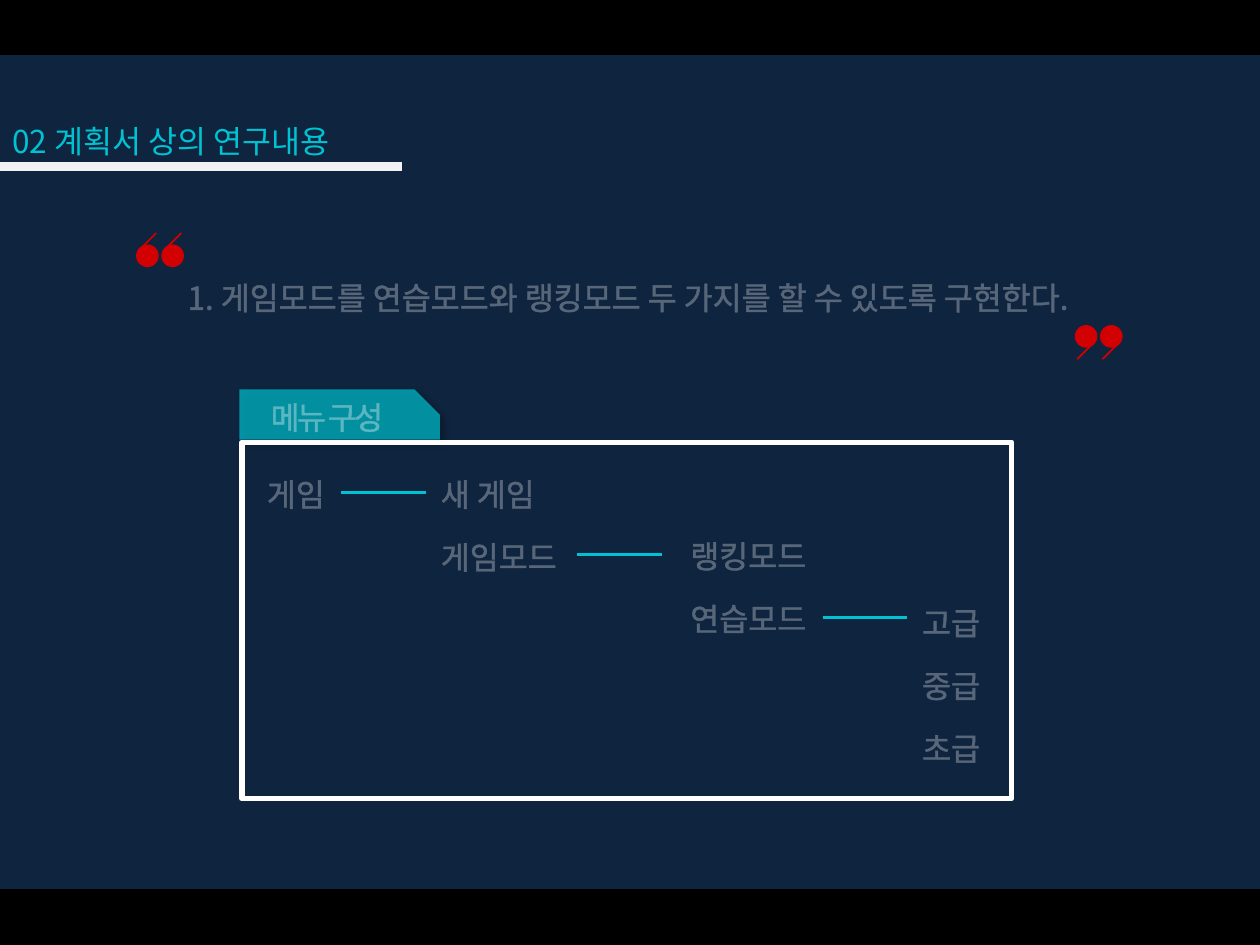
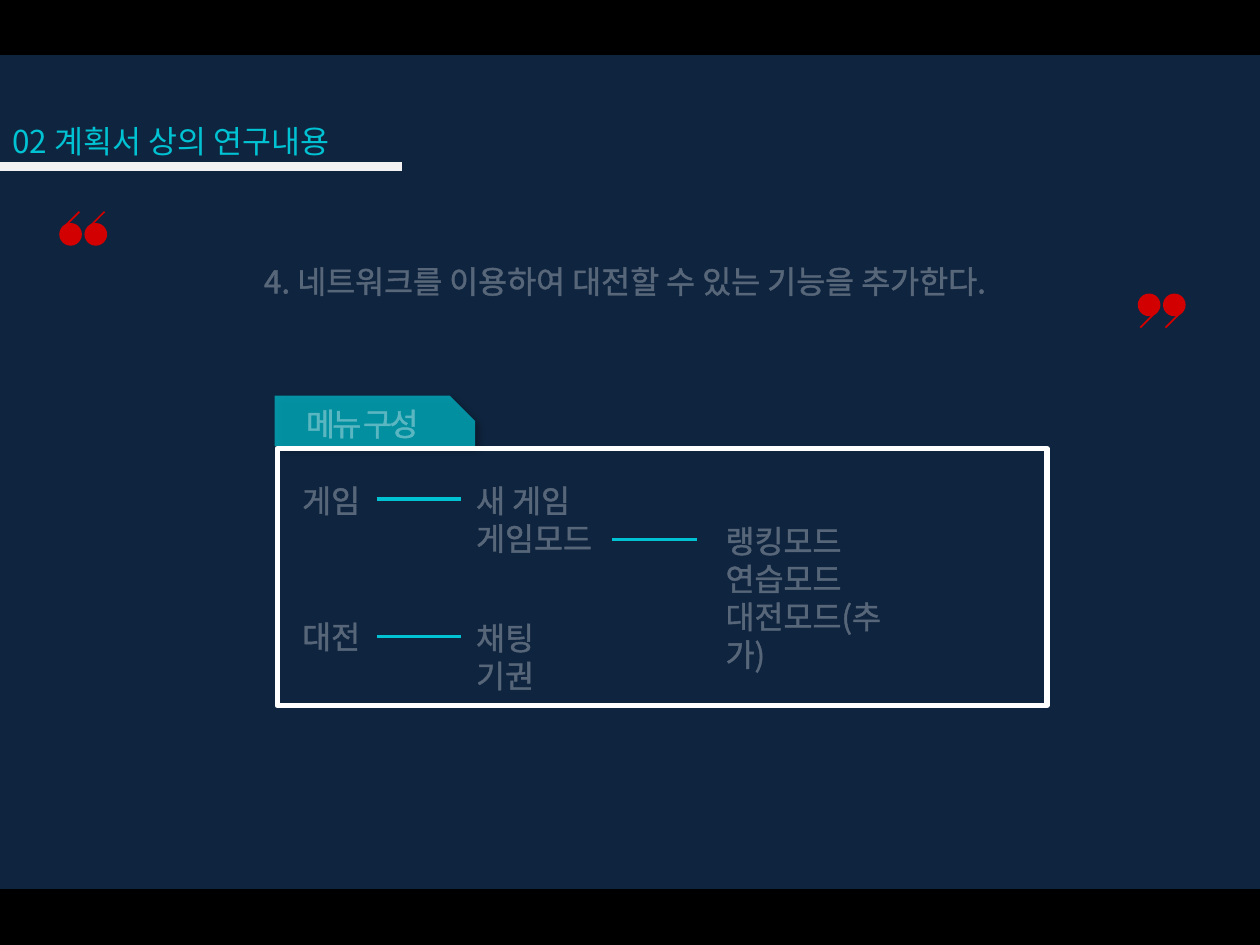
import dataclasses

import lxml.etree
import pptx
import pptx.dml.color
import pptx.enum.shapes
import pptx.enum.text
import pptx.oxml
import pptx.oxml.ns
import pptx.util

Inches = pptx.util.Inches
Pt = pptx.util.Pt
SHAPE = pptx.enum.shapes.MSO_SHAPE
ALIGN = pptx.enum.text.PP_ALIGN
qn = pptx.oxml.ns.qn


@dataclasses.dataclass(frozen=True)
class Theme:
    """Colours, font and sizes shared by the slides."""
    background: str = "0F243E"
    band: str = "000000"
    accent: str = "00C2D2"
    rule: str = "F2F2F2"
    text: str = "FFFFFF"
    quote: str = "D20000"
    font: str = "Noto Sans CJK KR"
    size: float = 18
    outline: float = 0.75
    loose_gap: float = 14.3


THEME = Theme()
COLUMNS = (0.1, 1.48, 3.46, 5.3)
LINKS = (0.79, 2.66, 4.61)
LINK_LENGTH = 0.67


def rgb(color):
    """Turn a hex string into a colour."""
    return pptx.dml.color.RGBColor.from_string(color)


def xml(tag, **attrs):
    """Make a DrawingML element."""
    el = pptx.oxml.parse_xml(f'<a:{tag} xmlns:a="{pptx.oxml.ns.nsuri("a")}"/>')
    for name, value in attrs.items():
        el.set(name, str(value))
    return el


def solid(tag, color, alpha, **attrs):
    """Make an element holding a translucent solid fill."""
    el = xml(tag, **attrs)
    clr = xml("srgbClr", val=color)
    clr.append(xml("alpha", val=alpha * 1000))
    fill = xml("solidFill")
    fill.append(clr)
    el.append(fill)
    return el


def add_shape(shapes, kind, x, y, w, h, fill=None, line=None, width=0):
    """Add a preset shape without a shadow."""
    sp = shapes.add_shape(kind, Inches(x), Inches(y), Inches(w), Inches(h))
    sp.shadow.inherit = False
    if fill:
        sp.fill.solid()
        sp.fill.fore_color.rgb = rgb(fill)
    else:
        sp.fill.background()
    if line:
        sp.line.color.rgb = rgb(line)
        sp.line.width = Pt(width)
    else:
        sp.line.fill.background()
    return sp


def add_line(shapes, x1, y1, x2, y2, color, width):
    """Add a straight line without a shadow."""
    cn = shapes.add_connector(pptx.enum.shapes.MSO_CONNECTOR.STRAIGHT,
                              Inches(x1), Inches(y1), Inches(x2), Inches(y2))
    cn.line.color.rgb = rgb(color)
    cn.line.width = Pt(width)
    cn._element.spPr.append(xml("effectLst"))


def add_text(s, x, y, w, text, color=THEME.text, alpha=30, align=None, gap=0, spacing=None):
    """Add outlined text, one paragraph per line."""
    lines = text.split("\n")
    height = 0.1 + 0.3 * len(lines) + gap / 72 * (len(lines) - 1)
    tf = s.shapes.add_textbox(Inches(x), Inches(y), Inches(w), Inches(height)).text_frame
    tf.word_wrap = True
    tf.text = text
    for i, p in enumerate(tf.paragraphs):
        p.alignment = align
        if i and gap:
            p.space_before = Pt(gap)
        for r in p.runs:
            r.font.size = Pt(THEME.size)
            r.font.name = THEME.font
            r.font.color.rgb = rgb(color)
            rpr = r._r.get_or_add_rPr()
            rpr.insert(0, solid("ln", color, alpha, w=Pt(THEME.outline)))
            rpr.find(qn("a:latin")).addnext(xml("ea", typeface=THEME.font))
            if spacing:
                rpr.set("spc", str(int(spacing * 100)))


def add_base(prs, title):
    """Add a slide with its background, bands and underlined title."""
    s = prs.slides.add_slide(prs.slide_layouts[6])
    s.background.fill.solid()
    s.background.fill.fore_color.rgb = rgb(THEME.background)
    for y in (-0.01, 7.07):
        add_shape(s.shapes, SHAPE.RECTANGLE, 0, y, 10, 0.43, THEME.band, THEME.band, 2)
    add_text(s, 0, 0.92, 3.27, title, THEME.accent, 35, ALIGN.JUSTIFY)
    add_line(s.shapes, 0, 1.32, 3.19, 1.32, THEME.rule, 5)
    return s


def add_quote_mark(s, x, y, side):
    """Add a pair of dots with tails, centred from x, y; side -1 closes."""
    shapes = s.shapes.add_group_shape().shapes
    for cx in (x, x + 0.2):
        add_shape(shapes, SHAPE.OVAL, cx - 0.09, y - 0.09, 0.18, 0.18, THEME.quote)
        add_line(shapes, cx - side * 0.05, y - side * 0.06,
                 cx + side * 0.07, y - side * 0.18, THEME.quote, 1)


def add_quote(s, x, y, text, opening, closing, align=None):
    """Add a statement between its quote marks."""
    add_quote_mark(s, *opening, 1)
    add_quote_mark(s, *closing, -1)
    add_text(s, x, y, 7.24, text, align=align)


def add_tab(s, x, y):
    """Add the translucent tab and its label."""
    tab = add_shape(s.shapes, SHAPE.SNIP_1_RECTANGLE, x, y, 1.59, 0.4, THEME.accent)
    tab.adjustments[0] = 0.5
    sppr = tab._element.spPr
    sppr.find(".//" + qn("a:srgbClr")).append(xml("alpha", val=70000))
    shadow = xml("outerShdw", blurRad=Pt(4), dist=Pt(3), dir=45 * 60000, algn="tl", rotWithShape=0)
    shadow.append(solid("ln", THEME.band, 40)[0][0])
    sppr.find(qn("a:effectLst")).append(shadow)
    add_text(s, x + 0.15, y + 0.02, 1.21, "메뉴 구성", alpha=35, spacing=-1.5)


def add_menu(s, x, y, h, items, links, gap=0):
    """Add a framed menu tree; items and links are (column, top, ...)."""
    add_tab(s, x - 0.02, y - 0.42)
    add_shape(s.shapes, SHAPE.RECTANGLE, x, y, 6.11, h, line=THEME.text, width=3)
    for column, top, width, text in items:
        add_text(s, x + COLUMNS[column], y + top, width, text, gap=gap)
    for column, top in links:
        left = x + LINKS[column]
        add_line(s.shapes, left, y + top, left + LINK_LENGTH, y + top, THEME.accent, 2)


def main():
    """Build both slides."""
    prs = pptx.Presentation()
    prs.slide_width, prs.slide_height = Inches(10), Inches(7.5)
    title = "02 계획서 상의 연구내용"

    s = add_base(prs, title)
    add_quote(s, 1.39, 2.16, "1. 게임모드를 연습모드와 랭킹모드 두 가지를 할 수 있도록 구현한다.",
              (1.17, 2.03), (8.62, 2.67))
    add_menu(s, 1.92, 3.51, 2.83,
             [(0, 0.21, 0.67, "게임"),
              (1, 0.21, 1.48, "새 게임\n게임모드"),
              (2, 0.7, 1.48, "랭킹모드\n연습모드"),
              (3, 1.23, 1.01, "고급\n중급\n초급")],
             [(0, 0.4), (1, 0.89), (2, 1.39)], THEME.loose_gap)

    s = add_base(prs, title)
    add_quote(s, 1.34, 2.03, "4. 네트워크를 이용하여 대전할 수 있는 기능을 추가한다.",
              (0.56, 1.86), (9.12, 2.42), ALIGN.CENTER)
    add_menu(s, 2.2, 3.56, 2.04,
             [(0, 0.21, 0.67, "게임"),
              (1, 0.21, 1.48, "새 게임\n게임모드"),
              (2, 0.53, 1.71, "랭킹모드\n연습모드\n대전모드(추가)"),
              (0, 1.29, 0.67, "대전"),
              (1, 1.3, 1.48, "채팅\n기권")],
             [(0, 0.4), (1, 0.72), (0, 1.49)])

    prs.save("out.pptx")


if __name__ == "__main__":
    main()
